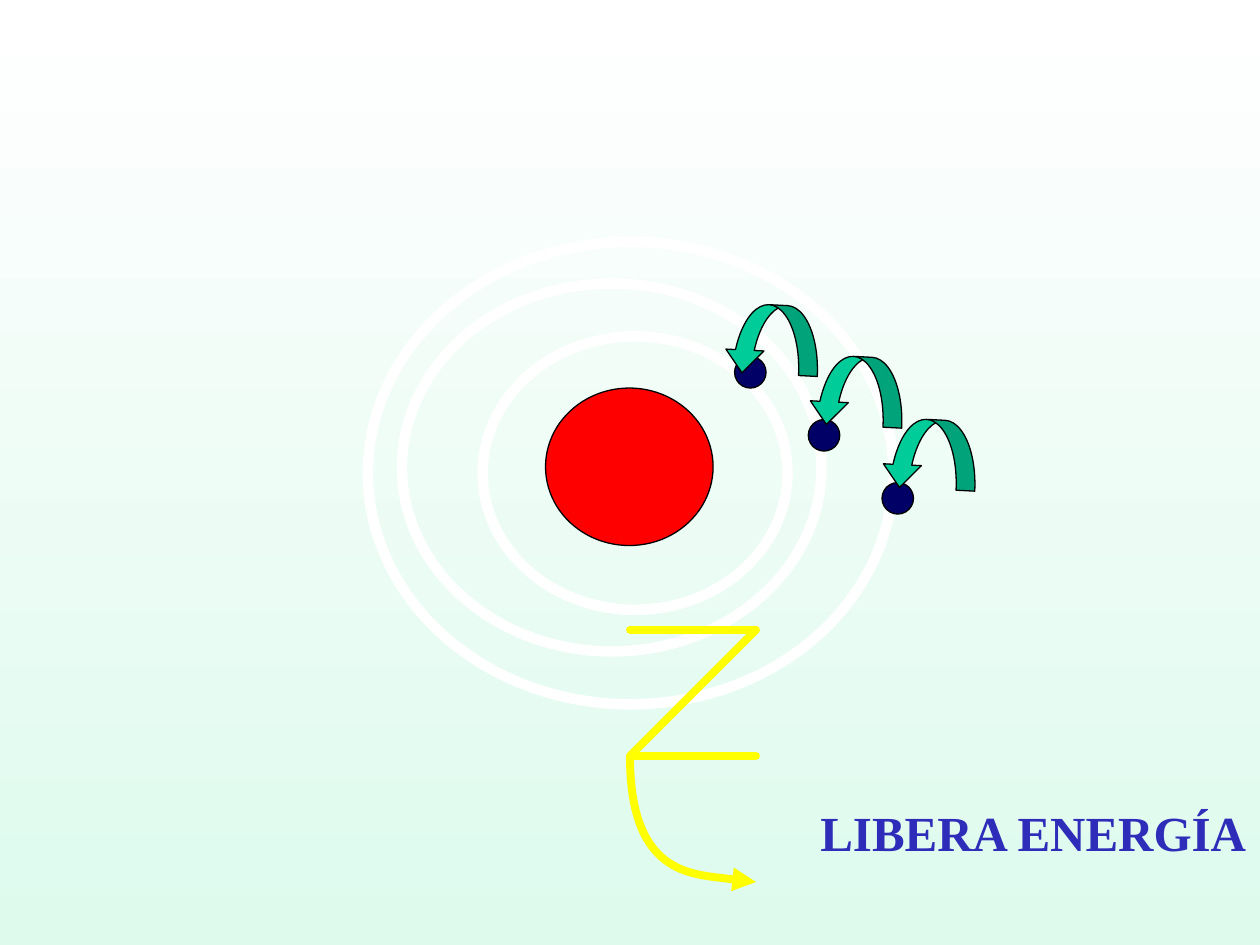
from dataclasses import dataclass

from lxml import etree
from pptx import Presentation
from pptx.dml.color import RGBColor
from pptx.enum import shapes, text
from pptx.oxml.ns import qn
from pptx.util import Inches, Pt


@dataclass(frozen=True)
class Theme:
    top: str = "FFFFFF"
    base: str = "DDFAED"
    core: str = "FF0000"
    ring: str = "FFFFFF"
    dot: str = "000066"
    jump: str = "00CC99"
    edge: str = "000000"
    wave: str = "FFFF00"
    label: str = "2D2DB9"
    font: str = "Times New Roman"
    size: int = 28
    thin: float = 0.75
    bold: float = 4.5
    thick: float = 6


THEME = Theme()
KIND = shapes.MSO_SHAPE


def rgb(code):
    return RGBColor.from_string(code)


def paint(shape, fill, line, width):
    shape.shadow.inherit = False
    if fill:
        shape.fill.solid()
        shape.fill.fore_color.rgb = rgb(fill)
    else:
        shape.fill.background()
    shape.line.color.rgb = rgb(line)
    shape.line.width = Pt(width)


def add(slide, kind, box, fill, line=THEME.edge, width=THEME.thin):
    shape = slide.shapes.add_shape(kind, *map(Inches, box))
    paint(shape, fill, line, width)
    return shape


def backdrop(slide):
    fill = slide.background.fill
    fill.gradient()
    fill.gradient_angle = 270
    for stop, code, pos in zip(fill.gradient_stops, (THEME.top, THEME.base), (0, 1)):
        stop.color.rgb = rgb(code)
        stop.position = pos


def atom(slide, box):
    """Draw the nucleus and its three orbits; the outer orbit fills the box."""
    left, top, wide, high = box
    add(slide, KIND.OVAL, (left + 1.41, top + 1.16, 1.33, 1.25), THEME.core)
    orbits = ((0.27, 0.33, 3.33, 2.92), (0, 0, wide, high), (0.91, 0.75, 2.42, 2.17))
    for dx, dy, w, h in orbits:
        add(slide, KIND.OVAL, (left + dx, top + dy, w, h), None, THEME.ring, THEME.thick)


def falls(slide, box):
    """Draw electrons stepping down the box, each with a jump arrow above it."""
    left, top, wide, high = box
    count, size = 3, 0.25
    for i in range(count):
        x = left + i * (wide - size) / (count - 1)
        y = top + i * (high - size) / (count - 1)
        add(slide, KIND.OVAL, (x, y, size, size), THEME.dot)
    for dx, dy in ((-0.08, -0.41), (0.59, 0), (1.17, 0.5)):
        jump = add(slide, KIND.CURVED_UP_ARROW, (left + dx, top + dy, 0.75, 0.55), THEME.jump)
        jump.rotation = 182.8
        for i, part in enumerate((0.27, 0.55, 0.33)):
            jump.adjustments[i] = part


def wave(slide, box):
    """Draw the energy wave as Bezier curves, three points to a curve."""
    left, top = box[:2]
    start, *rest = [(left + x, top + y) for x, y in (
        (0.54, 0),
        (0.27, 0.19), (0, 0.38), (0.04, 0.5),
        (0.08, 0.63), (0.78, 0.63), (0.79, 0.75),
        (0.8, 0.88), (0.1, 1.14), (0.12, 1.25),
        (0.15, 1.36), (0.94, 1.32), (0.96, 1.42),
        (0.97, 1.52), (0.14, 1.71), (0.21, 1.84),
        (0.28, 1.96), (1.17, 2.11), (1.37, 2.17),
    )]
    pen = slide.shapes.build_freeform(*start, scale=Inches(1) / 1.0)
    pen.add_line_segments(rest, close=False)
    shape = pen.convert_to_shape()
    paint(shape, None, THEME.wave, THEME.bold)
    legs = list(shape.element.iter(qn("a:lnTo")))
    for i in range(0, len(legs), 3):
        curve = etree.Element(qn("a:cubicBezTo"))
        legs[i].addprevious(curve)
        for leg in legs[i:i + 3]:
            curve.append(leg[0])
            leg.getparent().remove(leg)
    line = shape.line._get_or_add_ln()
    etree.SubElement(line, qn("a:tailEnd"), type="triangle")


def label(slide, box, words):
    frame = slide.shapes.add_textbox(*map(Inches, box)).text_frame
    frame.word_wrap = False
    frame.auto_size = text.MSO_AUTO_SIZE.SHAPE_TO_FIT_TEXT
    line = frame.paragraphs[0]
    line.alignment = text.PP_ALIGN.CENTER
    run = line.add_run()
    run.text = words
    for key, value in {"name": THEME.font, "size": Pt(THEME.size), "bold": True}.items():
        setattr(run.font, key, value)
    run.font.color.rgb = rgb(THEME.label)


def main():
    deck = Presentation()
    deck.slide_width, deck.slide_height = Inches(10), Inches(7.5)
    slide = deck.slides.add_slide(deck.slide_layouts[6])
    backdrop(slide)
    atom(slide, (2.92, 1.92, 4.17, 3.67))
    falls(slide, (5.83, 2.83, 1.42, 1.25))
    wave(slide, (4.96, 4.58, 1.38, 2.17))
    label(slide, (6.4, 6.32, 3.6, 0.57), "LIBERA ENERGÍA")
    deck.save("out.pptx")


if __name__ == "__main__":
    main()
